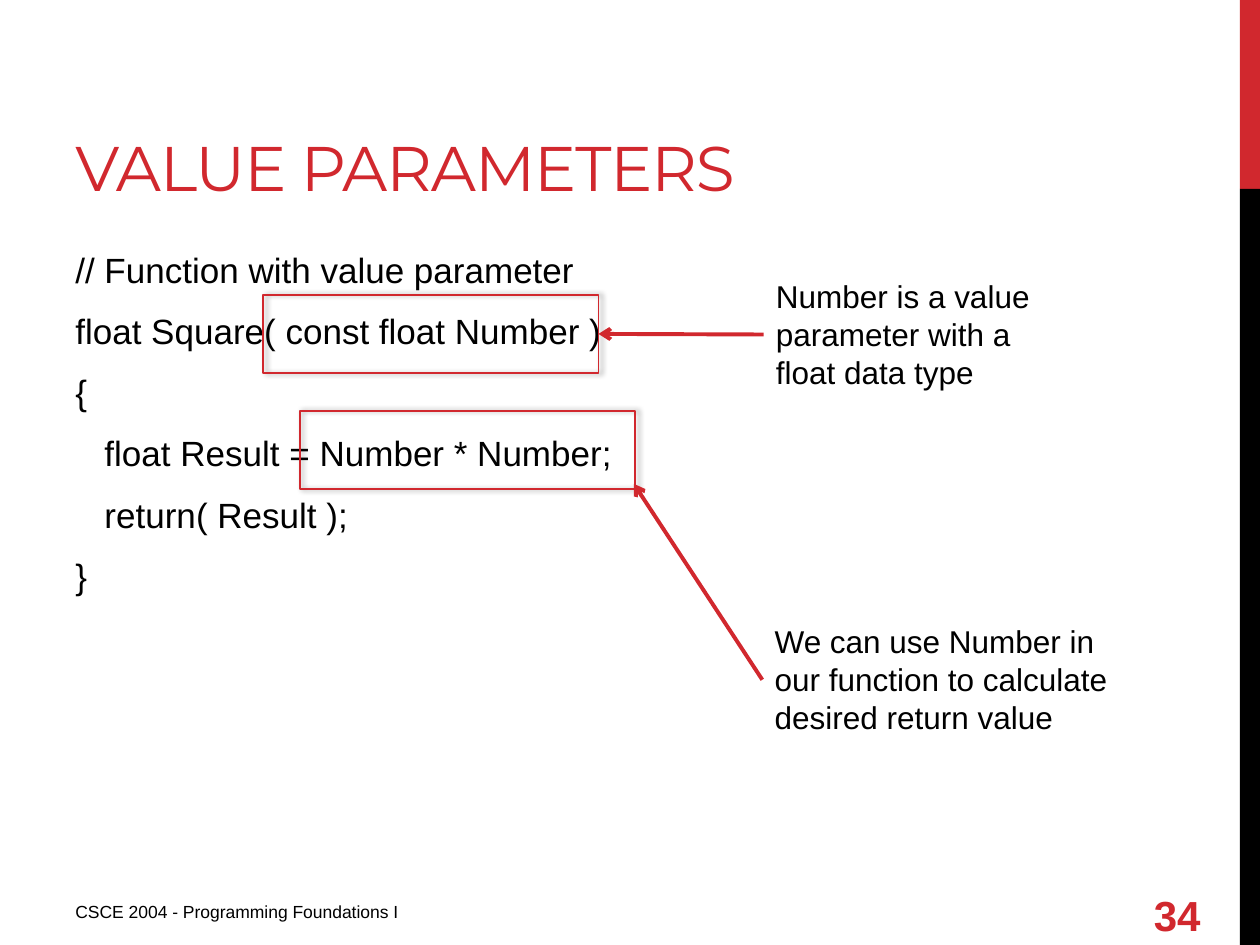
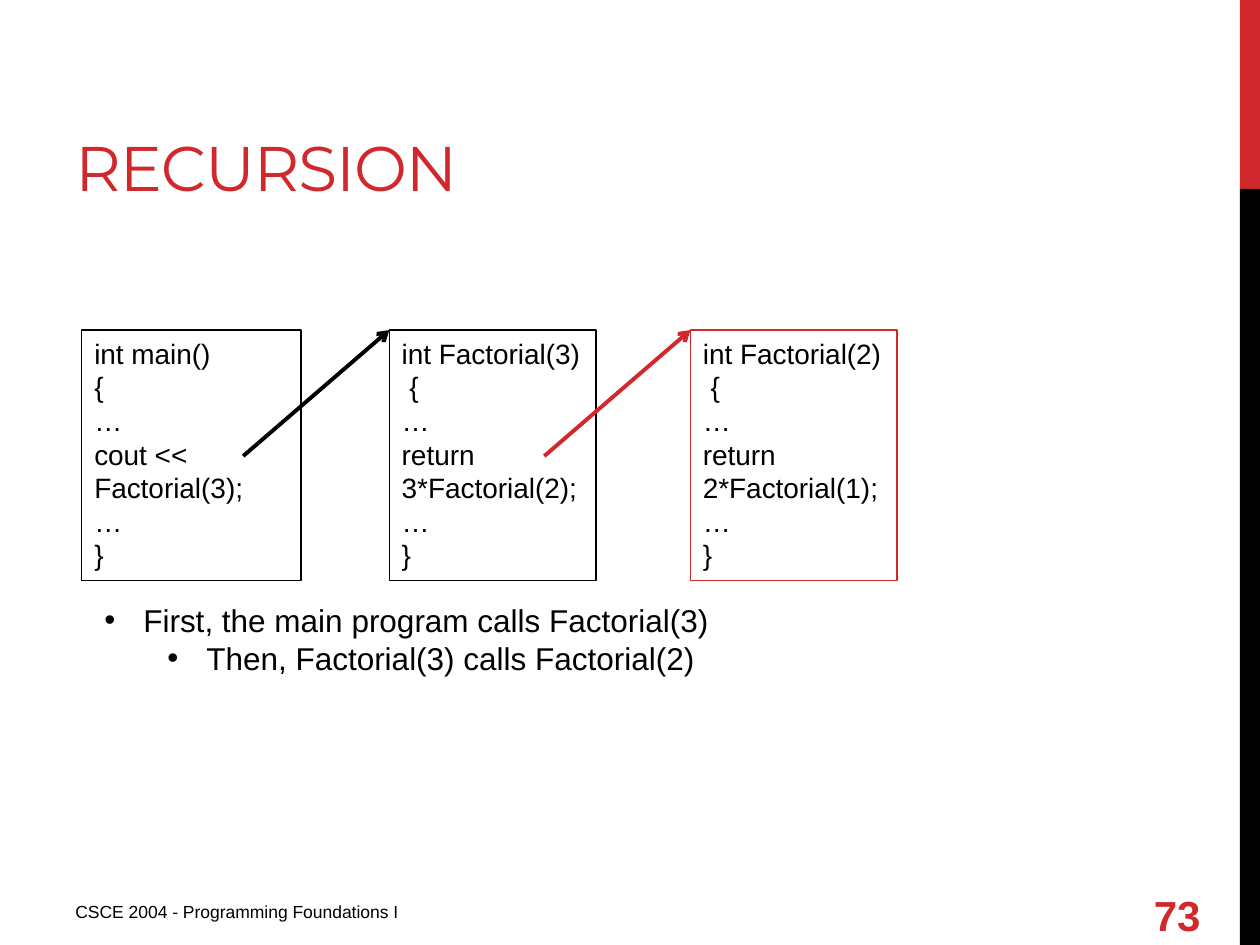
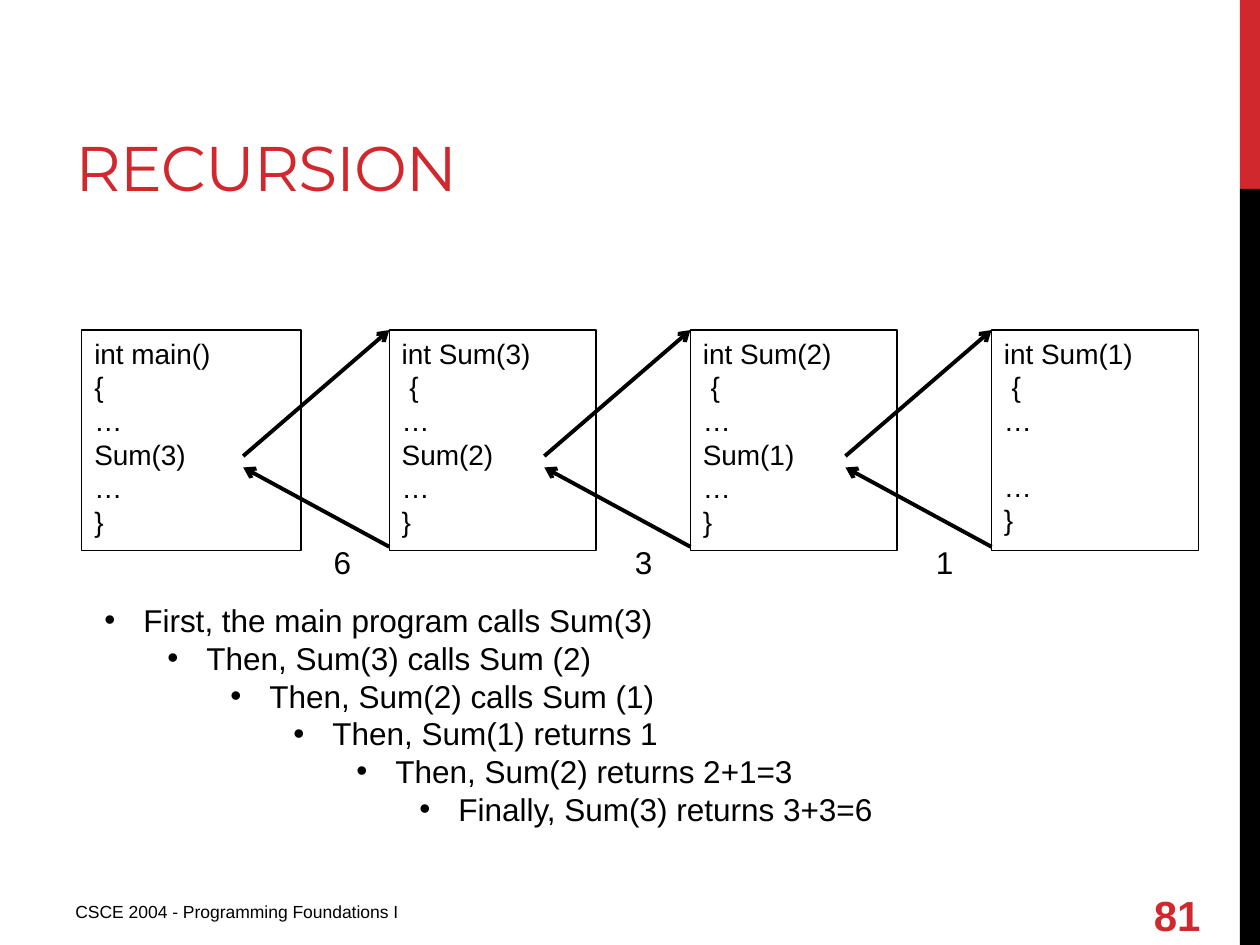
from dataclasses import dataclass

import lxml.etree
import pptx
import pptx.dml.color
import pptx.enum.shapes
import pptx.enum.text
import pptx.oxml
import pptx.oxml.ns
import pptx.util

PX = 9144  # EMU in one px, 100 px to the inch
RED = pptx.dml.color.RGBColor(0xD1, 0x28, 0x2E)
BLACK = pptx.dml.color.RGBColor(0, 0, 0)
BODY = "Arial"
HEAD = "Montserrat"
FOOTER = "CSCE 2004 - Programming Foundations I"
RECT = pptx.enum.shapes.MSO_SHAPE.RECTANGLE
TOP = pptx.enum.text.MSO_ANCHOR.TOP
MIDDLE = pptx.enum.text.MSO_ANCHOR.MIDDLE
BOTTOM = pptx.enum.text.MSO_ANCHOR.BOTTOM
LEFT, RIGHT = 1, 3  # connection sites of a rectangle

CALL_TOP = 262
CALL_STEP = 239
NS = 'xmlns:a="http://schemas.openxmlformats.org/drawingml/2006/main"'
SHADOW = (f'<a:outerShdw {NS} blurRad="39370" dist="22860" dir="0">'
          '<a:srgbClr val="000000"><a:alpha val="40000"/></a:srgbClr></a:outerShdw>')


@dataclass
class Area:
    x: int
    y: int
    w: int
    h: int

    def emu(self) -> list[int]:
        return [n * PX for n in (self.x, self.y, self.w, self.h)]


@dataclass
class Style:
    size: int
    color: pptx.dml.color.RGBColor = BLACK
    name: str = BODY
    bold: bool = False
    before: int = 0
    after: int = 0


@dataclass
class Call:
    """One function box in a chain; an empty line leaves a gap."""
    lines: list[str]
    color: pptx.dml.color.RGBColor = BLACK
    result: str = ""


TITLE = Style(36, RED, HEAD)
CODE = Style(20, before=5, after=6)
NOTE = Style(18)
CELL = Style(16)
SMALL = Style(10)
NUMBER = Style(24, RED, bold=True)


def write(frame, lines: list[str], style: Style, anchor=TOP, bullets: bool = False) -> None:
    """Fill a text frame; bullets step in by one level per line."""
    frame.word_wrap = True
    frame.vertical_anchor = anchor
    gap = 0
    used = 0
    for line in lines:
        if not line:
            gap += style.size * 1.15
            continue
        para = frame.add_paragraph() if used else frame.paragraphs[0]
        para.text = line
        para.alignment = pptx.enum.text.PP_ALIGN.LEFT
        para.space_before = pptx.util.Pt(gap + style.before if used else 0)
        para.space_after = pptx.util.Pt(style.after)
        if bullets:
            para.level = used
            props = para._p.get_or_add_pPr()
            props.set("marL", str((31 + 50 * used) * PX))
            props.set("indent", str(-31 * PX))
            for tag, key, value in (("a:buFont", "typeface", BODY), ("a:buChar", "char", "•")):
                lxml.etree.SubElement(props, pptx.oxml.ns.qn(tag)).set(key, value)
        font = para.font
        font.size = pptx.util.Pt(style.size)
        font.name = style.name
        font.bold = style.bold
        font.color.rgb = style.color
        gap = 0
        used += 1


def add_text(slide, area: Area, lines: list[str], style: Style, anchor=TOP, bullets: bool = False):
    box = slide.shapes.add_textbox(*area.emu())
    write(box.text_frame, lines, style, anchor, bullets)
    return box


def add_band(slide, area: Area, color) -> None:
    band = slide.shapes.add_shape(RECT, *area.emu())
    band.shadow.inherit = False
    band.fill.solid()
    band.fill.fore_color.rgb = color
    band.line.fill.background()


def add_box(slide, area: Area, color, width: float):
    """Draw an unfilled, outlined rectangle."""
    box = slide.shapes.add_shape(RECT, *area.emu())
    box.shadow.inherit = False
    box.fill.background()
    box.line.color.rgb = color
    box.line.width = pptx.util.Pt(width)
    return box


def add_mark(slide, area: Area):
    """Frame a piece of code with a softly shadowed box."""
    mark = add_box(slide, area, RED, 1)
    effects = mark._element.spPr.find(pptx.oxml.ns.qn("a:effectLst"))
    effects.append(pptx.oxml.parse_xml(SHADOW))
    return mark


def add_arrow(slide, start: tuple[int, int], end: tuple[int, int], color):
    arrow = slide.shapes.add_connector(
        pptx.enum.shapes.MSO_CONNECTOR.STRAIGHT, *(n * PX for n in start + end))
    arrow.line.color.rgb = color
    arrow.line.width = pptx.util.Pt(2.25)
    tail = lxml.etree.SubElement(arrow.line._get_or_add_ln(), pptx.oxml.ns.qn("a:tailEnd"))
    tail.set("type", "arrow")
    lxml.etree.SubElement(arrow._element.spPr, pptx.oxml.ns.qn("a:effectLst"))
    return arrow


def add_slide(deck, title: str, number: int):
    """Add a slide with the shared bands, title, footer and number."""
    slide = deck.slides.add_slide(deck.slide_layouts[6])
    add_band(slide, Area(984, 0, 16, 150), RED)
    add_band(slide, Area(984, 150, 16, 600), BLACK)
    head = add_text(slide, Area(50, 17, 633, 150), [title], TITLE, BOTTOM)
    head.text_frame.paragraphs[0].runs[0]._r.get_or_add_rPr().set("spc", "-60")
    add_text(slide, Area(50, 710, 375, 31), [FOOTER], SMALL)
    add_text(slide, Area(906, 706, 74, 40), [str(number)], NUMBER, MIDDLE)
    return slide


def add_chain(slide, calls: list[Call], height: int) -> None:
    """Draw the calls in a row, with arrows for each call and its result."""
    for i, call in enumerate(calls):
        x = 309 + CALL_STEP * (i - 1) if i else 65
        box = add_box(slide, Area(x, CALL_TOP, 164 if i else 174, height), call.color, 0.75)
        write(box.text_frame, call.lines, CELL)
        if i:
            add_arrow(slide, (x - 116, 362), (x, CALL_TOP), call.color)
        if call.result:
            add_arrow(slide, (x, 434), (x - 116, 371), call.color)
            add_text(slide, Area(x - 54, 426, 40, 40), [call.result], NOTE)


def add_steps(slide, lines: list[str], height: int) -> None:
    add_text(slide, Area(73, 472, 757, height), lines, NOTE, bullets=True)


def body(name: str, line: str) -> list[str]:
    """Give the lines of a called function."""
    return [f"int {name}", " {", "…", line, "…", "}"]


def add_values(deck) -> None:
    slide = add_slide(deck, "VALUE PARAMETERS", 34)
    add_text(slide, Area(50, 192, 833, 478), [
        "// Function with value parameter",
        "float Square( const float Number )",
        "{",
        "   float Result = Number * Number;",
        "   return( Result );",
        "}",
    ], CODE)
    param = add_mark(slide, Area(209, 234, 266, 62))
    note = add_text(slide, Area(606, 215, 244, 101),
                    ["Number is a value parameter with a float data type"], NOTE)
    arrow = add_arrow(slide, (606, 265), (475, 265), RED)
    arrow.begin_connect(note, LEFT)
    arrow.end_connect(param, RIGHT)

    add_mark(slide, Area(238, 326, 266, 62))
    note = add_text(slide, Area(605, 489, 300, 101),
                    ["We can use Number in our function to calculate desired return value"], NOTE)
    arrow = add_arrow(slide, (605, 540), (503, 384), RED)
    arrow.begin_connect(note, LEFT)


def add_factorial(deck) -> None:
    slide = add_slide(deck, "RECURSION", 73)
    add_chain(slide, [
        Call(["int main()", "{", "…", "cout << Factorial(3);", "…", "}"]),
        Call(body("Factorial(3)", "return 3*Factorial(2);")),
        Call(body("Factorial(2)", "return 2*Factorial(1);"), RED),
    ], 199)
    add_steps(slide, [
        "First, the main program calls Factorial(3)",
        "Then, Factorial(3) calls Factorial(2)",
    ], 71)


def add_sum(deck) -> None:
    slide = add_slide(deck, "RECURSION", 81)
    add_chain(slide, [
        Call(["int main()", "{", "…", "Sum(3)", "…", "}"]),
        Call(body("Sum(3)", "Sum(2)"), result="6"),
        Call(body("Sum(2)", "Sum(1)"), result="3"),
        Call(body("Sum(1)", ""), result="1"),
    ], 175)
    add_steps(slide, [
        "First, the main program calls Sum(3)",
        "Then, Sum(3) calls Sum (2)",
        "Then, Sum(2) calls Sum (1)",
        "Then, Sum(1) returns 1",
        "Then, Sum(2) returns 2+1=3",
        "Finally, Sum(3) returns 3+3=6",
    ], 192)


def main() -> None:
    deck = pptx.Presentation()
    deck.slide_width = 1000 * PX
    deck.slide_height = 750 * PX
    add_values(deck)
    add_factorial(deck)
    add_sum(deck)
    deck.save("out.pptx")


if __name__ == "__main__":
    main()
